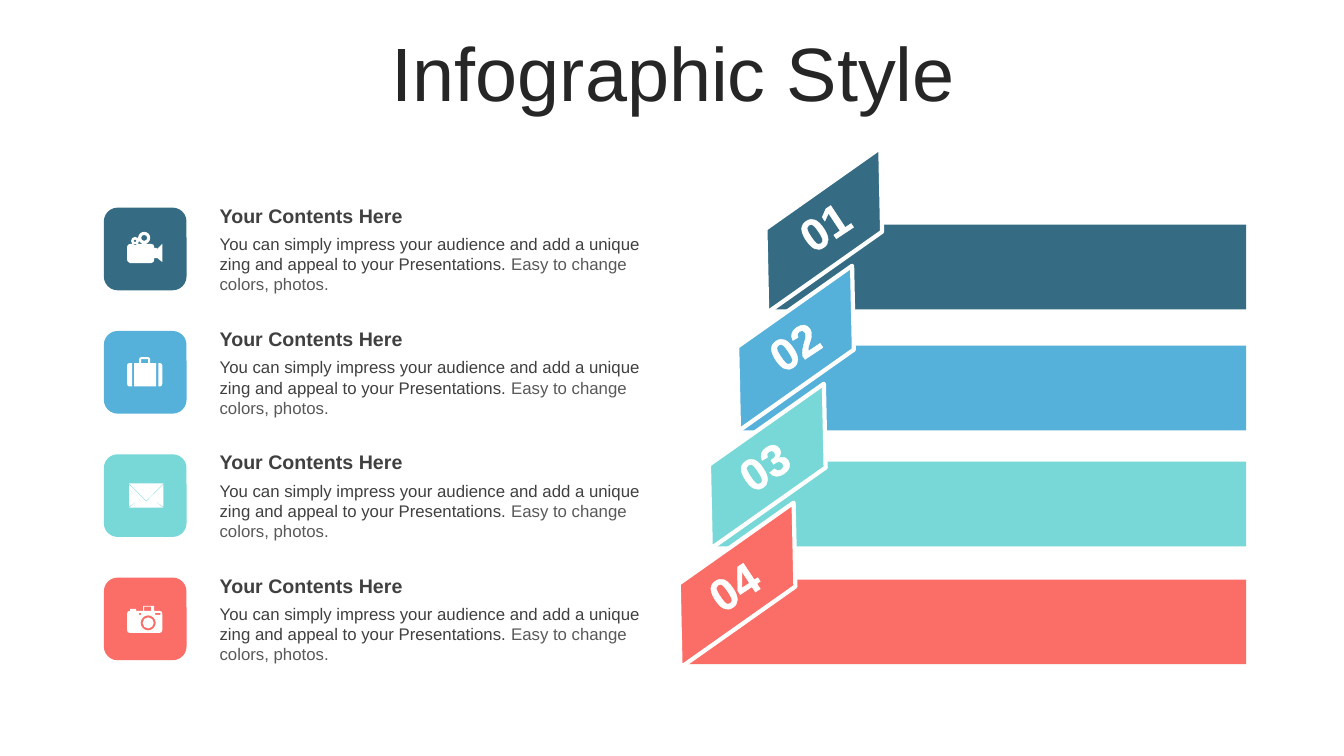
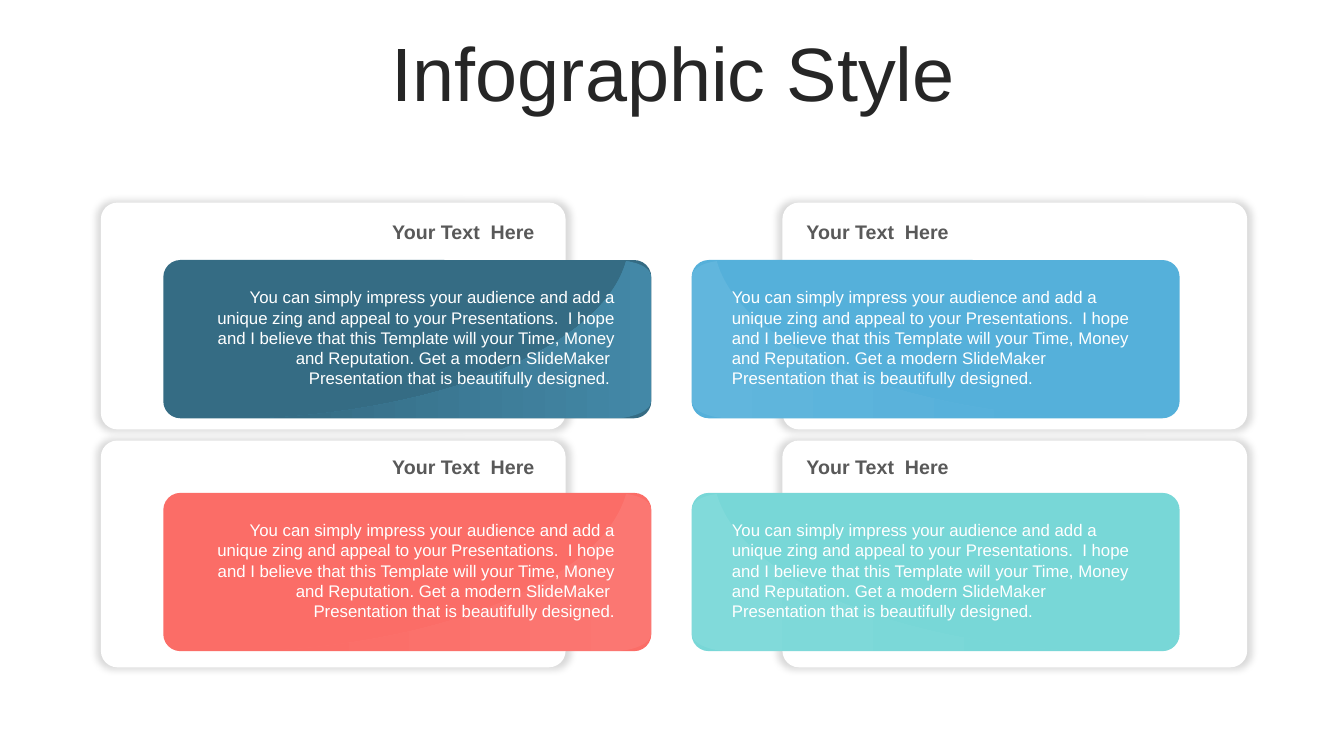
from lxml.etree import Element, SubElement
from pptx import Presentation
from pptx.dml.color import RGBColor
from pptx.enum.shapes import MSO_SHAPE
from pptx.enum.text import MSO_ANCHOR, MSO_AUTO_SIZE, PP_ALIGN
from pptx.oxml.ns import qn
from pptx.util import Inches, Pt

COLORS = {
    "navy": "356C84", "blue": "55B0DA", "teal": "78D7D7", "coral": "FB6D67",
    "navy_light": "4388A7", "blue_light": "61B6DD",
    "teal_light": "81DADA", "coral_light": "FB7772",
    "title": "262626", "dark": "404040", "gray": "595959",
    "white": "FFFFFF", "black": "000000",
}
STYLES = {
    "title": {"name": "Arial", "size": Pt(54), "bold": False},
    "heading": {"name": "Arial", "size": Pt(14), "bold": True},
    "body": {"name": "Arial", "size": Pt(12), "bold": False},
    "number": {"name": "Arial", "size": Pt(32), "bold": True},
}
TITLE = "Infographic Style"
ITEM_HEADING = "Your Contents Here"
ITEM_TEXT = ("You can simply impress your audience and add a unique zing "
             "and appeal to your Presentations. ")
ITEM_NOTE = "Easy to change colors, photos."
CARD_HEADING = "Your Text  Here"
CARD_TEXT = ("You can simply impress your audience and add a unique zing and "
             "appeal to your Presentations.  I hope and I believe that this "
             "Template will your Time, Money and Reputation. Get a modern "
             "SlideMaker  Presentation that is beautifully designed.")


# Outlines: a 2-tuple is a corner, a 6-tuple is a Bezier curve
def circle(x, y, radius):
    k = radius * .55
    left, right, top, bottom = x - radius, x + radius, y - radius, y + radius
    return [(x, top), (x + k, top, right, y - k, right, y),
            (right, y + k, x + k, bottom, x, bottom),
            (x - k, bottom, left, y + k, left, y),
            (left, y - k, x - k, top, x, top)]


def box(left, top, right, bottom):
    return [(left, top), (right, top), (right, bottom), (left, bottom)]


# Icons, measured in inches from the corner of their tile
VIDEO_ICON = [
    [(.26, .36), (.47, .36), (.49, .36, .5, .37, .5, .39), (.5, .4),
     (.52, .4), (.53, .41), (.58, .36), (.58, .54), (.53, .5), (.5, .5),
     (.5, .52), (.5, .53, .49, .55, .47, .55), (.26, .55),
     (.25, .55, .23, .53, .23, .52), (.23, .39),
     (.23, .37, .25, .36, .26, .36)],
    circle(.31, .33, .04), circle(.31, .33, .015),
    circle(.4, .3, .06), circle(.4, .3, .03),
]
SUITCASE_ICON = [
    [(.54, .32), (.56, .32), (.57, .32, .58, .33, .58, .34), (.58, .52),
     (.58, .54, .57, .55, .56, .55), (.54, .55)],
    [(.28, .32), (.28, .55), (.25, .55), (.24, .55, .23, .54, .23, .52),
     (.23, .34), (.23, .33, .24, .32, .25, .32)],
    [(.3, .32), (.35, .32), (.35, .28), (.35, .27, .36, .26, .37, .26),
     (.44, .26), (.45, .26, .46, .27, .46, .28), (.46, .32), (.52, .32),
     (.52, .55), (.3, .55)],
    box(.37, .28, .44, .32),
]
ENVELOPE_ICON = [
    [(.46, .43), (.59, .53), (.25, .53), (.38, .43), (.42, .47)],
    [(.59, .3), (.59, .52), (.46, .43)],
    [(.25, .3), (.38, .43), (.25, .52)],
    [(.25, .29), (.59, .29), (.42, .46)],
]
CAMERA_ICON = [
    [(.39, .33), (.39, .28), (.5, .28), (.5, .33), (.55, .33),
     (.57, .33, .58, .34, .58, .36), (.58, .52),
     (.58, .54, .57, .55, .55, .55), (.26, .55),
     (.24, .55, .23, .54, .23, .52), (.23, .36),
     (.23, .34, .24, .33, .26, .33), (.26, .31), (.32, .31), (.32, .33)],
    circle(.44, .45, .075), circle(.44, .45, .055),
    box(.35, .35, .37, .37), box(.51, .35, .56, .37),
    box(.4, .29, .47, .33),
]
# Highlight: distance from the panel's inner edge, then from its top
SHINE = [(.25, .01), (.1, .03, 0, .09, 0, .17), (0, 1.4),
         (0, 1.49, .17, 1.57, .38, 1.57), (3.83, 1.57),
         (1.96, 1.47, .48, .83, .25, .01)]

# Colour, icon, bar left and top, ribbon left and top
ITEMS = [
    ("navy", VIDEO_ICON, 7.62, 2.23, 7.24, 1.94),
    ("blue", SUITCASE_ICON, 7.32, 3.43, 6.96, 3.11),
    ("teal", ENVELOPE_ICON, 7.06, 4.58, 6.68, 4.28),
    ("coral", CAMERA_ICON, 6.75, 5.75, 6.38, 5.46),
]
# Horizontal places on each side, and vertical places in each row
LEFT = {"frame": 1, "panel": 1.62, "heading": 2.41, "text": 1.88,
        "text_width": 4.32, "inner_edge": 6.46, "direction": -1,
        "angle": 180, "align": PP_ALIGN.RIGHT}
RIGHT = {"frame": 7.76, "panel": 6.86, "heading": 7.9, "text": 7.16,
         "text_width": 4.25, "inner_edge": 6.86, "direction": 1,
         "angle": 0, "align": PP_ALIGN.LEFT}
UPPER = {"frame": 2.01, "panel": 2.58, "heading": 2.13}
LOWER = {"frame": 4.37, "panel": 4.89, "heading": 4.46}
CARDS = [
    (LEFT, UPPER, "navy", CARD_TEXT + " "),
    (LEFT, LOWER, "coral", CARD_TEXT),
    (RIGHT, LOWER, "teal", CARD_TEXT),
    (RIGHT, UPPER, "blue", CARD_TEXT),
]


def rgb(color):
    return RGBColor.from_string(COLORS[color])


def add_run(paragraph, text, style, color):
    run = paragraph.add_run()
    run.text = text
    for name, value in STYLES[style].items():
        setattr(run.font, name, value)
    run.font.color.rgb = rgb(color)
    return run


def add_text(slide, place, runs, style, align=PP_ALIGN.LEFT):
    shape = slide.shapes.add_textbox(*map(Inches, place))
    shape.text_frame.word_wrap = True
    shape.text_frame.auto_size = MSO_AUTO_SIZE.SHAPE_TO_FIT_TEXT
    paragraph = shape.text_frame.paragraphs[0]
    paragraph.alignment = align
    for text, color in runs:
        add_run(paragraph, text, style, color)
    return shape


def paint(shape, color):
    shape.shadow.inherit = False
    shape.fill.solid()
    shape.fill.fore_color.rgb = rgb(color)
    shape.line.fill.background()


def add_block(slide, preset, place, color, adjustment=None):
    shape = slide.shapes.add_shape(preset, *map(Inches, place))
    paint(shape, color)
    if adjustment is not None:
        shape.adjustments[0] = adjustment
    return shape


def bend_curves(shape, contours):
    """Join the three points of each curve segment into one Bezier curve."""
    outline = shape._element.find(".//" + qn("a:path"))
    lines = iter(outline.findall(qn("a:lnTo")))
    for contour in contours:
        for segment in contour[1:]:
            nodes = [next(lines) for _ in range(len(segment) // 2)]
            if len(nodes) == 3:
                curve = Element(qn("a:cubicBezTo"))
                nodes[0].addprevious(curve)
                for node in nodes:
                    curve.append(node[0])
                    outline.remove(node)


def add_outline(slide, left, top, contours, color, direction=1):
    builder = None
    for contour in contours:
        points = [(Inches(left + direction * x), Inches(top + y))
                  for segment in contour
                  for x, y in zip(segment[::2], segment[1::2])]
        if builder is None:
            builder = slide.shapes.build_freeform(*points[0])
        else:
            builder.move_to(*points[0])
        builder.add_line_segments(points[1:], close=True)
    shape = builder.convert_to_shape()
    bend_curves(shape, contours)
    paint(shape, color)
    return shape


def add_soft_shadow(shape):
    effects = shape._element.spPr.find(qn("a:effectLst"))
    shadow = SubElement(effects, qn("a:outerShdw"), blurRad=str(Pt(5)),
                        dist="0", dir="0", sx="102000", sy="102000",
                        algn="ctr", rotWithShape="0")
    color = SubElement(shadow, qn("a:srgbClr"), val=COLORS["black"])
    SubElement(color, qn("a:alpha"), val="14000")


def add_titled_slide(presentation):
    slide = presentation.slides.add_slide(presentation.slide_layouts[5])
    title = slide.shapes.title
    place = {"left": .35, "top": .37, "width": 12.66, "height": .79}
    for name, value in place.items():
        setattr(title, name, Inches(value))
    frame = title.text_frame
    frame.word_wrap = True
    frame.auto_size = MSO_AUTO_SIZE.NONE
    frame.vertical_anchor = MSO_ANCHOR.MIDDLE
    paragraph = frame.paragraphs[0]
    paragraph.alignment = PP_ALIGN.CENTER
    paragraph.line_spacing = .9
    add_run(paragraph, TITLE, "title", "title")
    return slide


def add_item(slide, top, color, icon):
    add_block(slide, MSO_SHAPE.ROUNDED_RECTANGLE, (1.03, top, .82, .82), color)
    add_outline(slide, 1.03, top, icon, "white")
    add_text(slide, (2.08, top + .21, 4.48, .71),
             [(ITEM_TEXT, "dark"), (ITEM_NOTE, "gray")], "body")
    add_text(slide, (2.08, top - .09, 4.48, .34),
             [(ITEM_HEADING, "dark")], "heading")


def add_ribbon(slide, left, top, color):
    ribbon = add_block(slide, MSO_SHAPE.PARALLELOGRAM,
                       (left, top, 1.86, .69), color, .674)
    ribbon.rotation = 144.8
    ribbon.line.color.rgb = rgb("white")
    ribbon.line.width = Pt(3)


def add_number(slide, index):
    label = add_text(slide, (7.65 - .3 * index, 1.92 + 1.19 * index, 1.05, .64),
                     [(f"{index + 1:02}", "white")], "number", PP_ALIGN.CENTER)
    label.rotation = 326.5
    # White outline around the digits
    outline = Element(qn("a:ln"), w=str(Pt(1)))
    fill = SubElement(outline, qn("a:solidFill"))
    SubElement(fill, qn("a:srgbClr"), val=COLORS["white"])
    run = label.text_frame.paragraphs[0].runs[0]
    run.font._element.insert(0, outline)


def add_card(slide, side, row, color, text):
    frame = add_block(slide, MSO_SHAPE.ROUNDED_RECTANGLE,
                      (side["frame"], row["frame"], 4.61, 2.25), "white", .073)
    add_soft_shadow(frame)
    add_block(slide, MSO_SHAPE.ROUNDED_RECTANGLE,
              (side["panel"], row["panel"], 4.84, 1.57), color, .108)
    # Highlight fading from the inner edge
    shine = add_outline(slide, side["inner_edge"], row["panel"], [SHINE],
                        color, side["direction"])
    shine.fill.gradient()
    shine.fill.gradient_angle = side["angle"]
    stops = ((0, color + "_light"), (.94, color))
    for stop, (position, name) in zip(shine.fill.gradient_stops, stops):
        stop.position = position
        stop.color.rgb = rgb(name)
    add_text(slide, (side["heading"], row["heading"], 2.99, .34),
             [(CARD_HEADING, "gray")], "heading", side["align"])
    add_text(slide, (side["text"], row["panel"] + .22, side["text_width"], 1.11),
             [(text, "white")], "body", side["align"])


def build_ribbon_slide(presentation):
    slide = add_titled_slide(presentation)
    for color, _, left, top, _, _ in ITEMS:
        add_block(slide, MSO_SHAPE.RECTANGLE,
                  (left, top, 12.36 - left, .84), color)
    # Upper ribbons overlap the lower ones
    for color, _, _, _, left, top in reversed(ITEMS):
        add_ribbon(slide, left, top, color)
    row_pitch = (5.73 - 2.06) / (len(ITEMS) - 1)
    for index, (color, icon, *_) in enumerate(ITEMS):
        add_item(slide, 2.06 + index * row_pitch, color, icon)
        add_number(slide, index)


def build_card_slide(presentation):
    slide = add_titled_slide(presentation)
    for card in CARDS:
        add_card(slide, *card)


def main():
    presentation = Presentation()
    presentation.slide_width = Inches(13.33)
    presentation.slide_height = Inches(7.5)
    build_ribbon_slide(presentation)
    build_card_slide(presentation)
    presentation.save("out.pptx")


if __name__ == "__main__":
    main()
